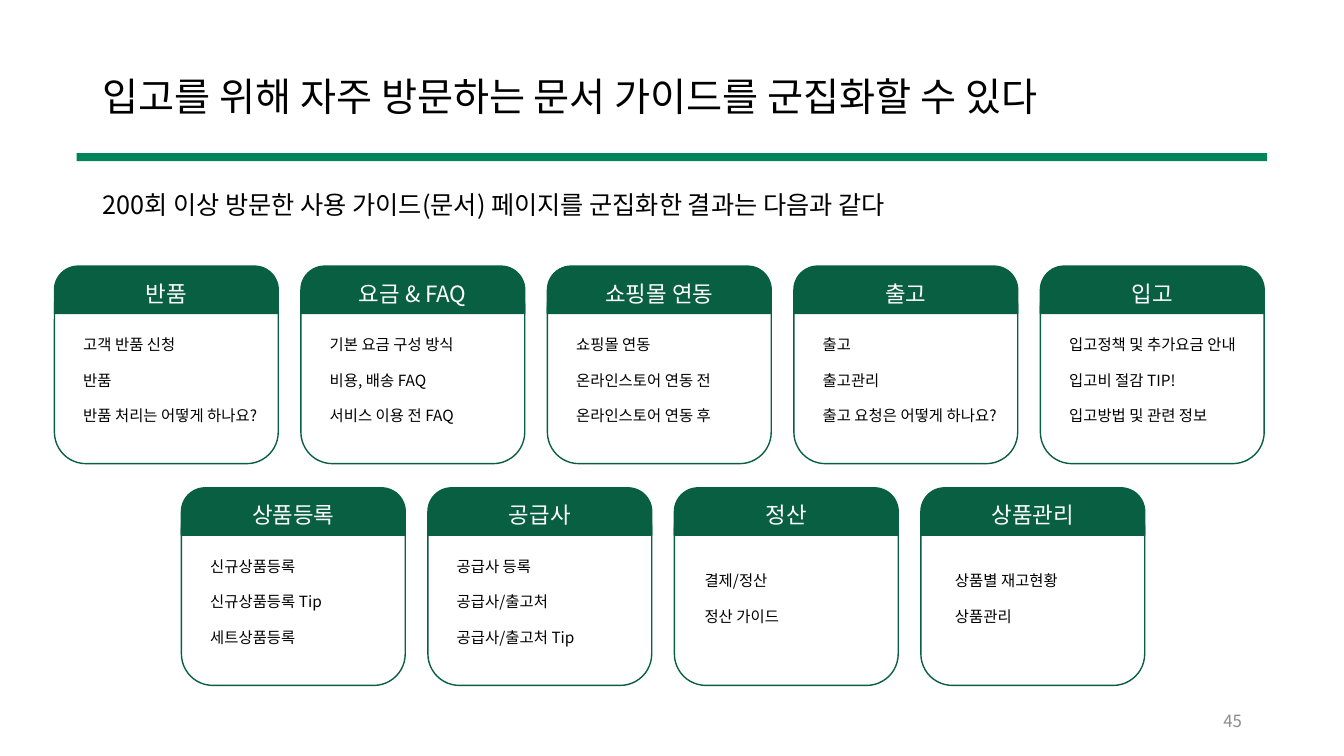
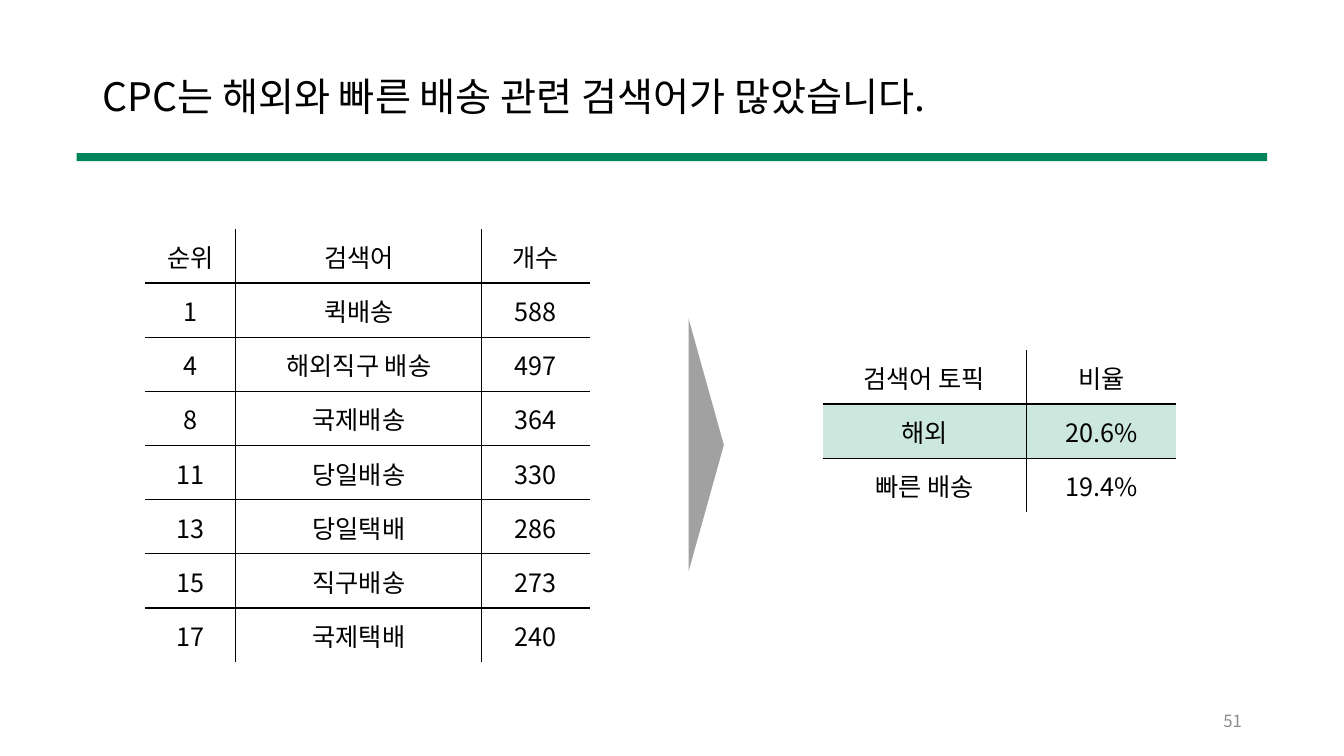
from collections import namedtuple

from lxml import etree
from pptx import Presentation
from pptx.dml.color import RGBColor
from pptx.enum.shapes import MSO_SHAPE
from pptx.enum.text import MSO_ANCHOR, PP_ALIGN
from pptx.oxml.ns import qn
from pptx.util import Inches, Pt

# Shared look
SLIDE_W, SLIDE_H = Inches(13.333), Inches(7.5)
FONT = "Noto Sans CJK KR"
COLORS = {
    "ink": "000000",
    "paper": "FFFFFF",
    "rule": "00855B",
    "card": "095F42",
    "highlight": "CCE7DE",
    "arrow": "A2A1A1",
    "page": "8C8C8C",
}
LEFT, CENTER, RIGHT = PP_ALIGN.LEFT, PP_ALIGN.CENTER, PP_ALIGN.RIGHT
TOP, MIDDLE = MSO_ANCHOR.TOP, MSO_ANCHOR.MIDDLE
RECT, ROUNDED = MSO_SHAPE.RECTANGLE, MSO_SHAPE.ROUNDED_RECTANGLE
ROUND_TOP, TRIANGLE = MSO_SHAPE.ROUND_2_SAME_RECTANGLE, MSO_SHAPE.ISOSCELES_TRIANGLE

# Card grid, in percent of the slide's width or height
CARD_W, CARD_STEP = 16.65, 18.34
CAP_H, BODY_DROP, BODY_H = 6.27, 1.2, 24.93
LIST_DROP = 8.53
Card = namedtuple("Card", "heading items indent drop", defaults=(1.4, 0))

GUIDE_ROWS = [
    (4.05, 35.2, [
        Card("반품", ["고객 반품 신청", "반품", "반품 처리는 어떻게 하나요?"]),
        Card("요금 & FAQ", ["기본 요금 구성 방식", "비용, 배송 FAQ", "서비스 이용 전 FAQ"]),
        Card("쇼핑몰 연동", ["쇼핑몰 연동", "온라인스토어 연동 전", "온라인스토어 연동 후"]),
        Card("출고", ["출고", "출고관리", "출고 요청은 어떻게 하나요?"]),
        Card("입고", ["입고정책 및 추가요금 안내", "입고비 절감 TIP!", "입고방법 및 관련 정보"]),
    ]),
    (13.5, 64.53, [
        Card("상품등록", ["신규상품등록", "신규상품등록 Tip", "세트상품등록"]),
        Card("공급사", ["공급사 등록", "공급사/출고처", "공급사/출고처 Tip"]),
        Card("정산", ["결제/정산", "정산 가이드"], 1.5, 1.87),
        Card("상품관리", ["상품별 재고현황", "상품관리"], 1.8, 1.87),
    ]),
]

SEARCH_TERMS = [
    ("순위", "검색어", "개수"),
    ("1", "퀵배송", "588"),
    ("4", "해외직구 배송", "497"),
    ("8", "국제배송", "364"),
    ("11", "당일배송", "330"),
    ("13", "당일택배", "286"),
    ("15", "직구배송", "273"),
    ("17", "국제택배", "240"),
]
TOPIC_SHARES = [("검색어 토픽", "비율"), ("해외", "20.6%"), ("빠른 배송", "19.4%")]


def across(percent):
    return int(SLIDE_W * percent / 100)


def down(percent):
    return int(SLIDE_H * percent / 100)


def place(x, y, w, h):
    return across(x), down(y), across(w), down(h)


def color(key):
    return RGBColor.from_string(COLORS[key])


def write(frame, *lines, size=18, ink="ink", align=LEFT, anchor=TOP,
          gap=0, spacing=None):
    """Fill a text frame with one paragraph per line."""
    frame.word_wrap = True
    frame.vertical_anchor = anchor
    for index, line in enumerate(lines):
        paragraph = frame.paragraphs[0] if index == 0 else frame.add_paragraph()
        paragraph.alignment = align
        if spacing:
            paragraph.line_spacing = spacing
        if index and gap:
            paragraph.space_before = Pt(gap)
        run = paragraph.add_run()
        run.text = line
        run.font.size = Pt(size)
        run.font.color.rgb = color(ink)
        run.font.name = FONT
        # Hangul takes the East Asian typeface
        east_asian = etree.Element(qn("a:ea"), typeface=FONT)
        run.font._element.find(qn("a:latin")).addnext(east_asian)


def add_text(slide, box, *lines, **text_format):
    frame = slide.shapes.add_textbox(*place(*box)).text_frame
    write(frame, *lines, **text_format)
    return frame


def add_block(slide, kind, box, fill=None, line=None):
    block = slide.shapes.add_shape(kind, *place(*box))
    block.shadow.inherit = False
    if fill:
        block.fill.solid()
        block.fill.fore_color.rgb = color(fill)
    else:
        block.fill.background()
    if line:
        block.line.color.rgb = color(line)
        block.line.width = Pt(1)
    else:
        block.line.fill.background()
    return block


def add_page(deck, title, number):
    """Start a slide with its title, rule and page number."""
    slide = deck.slides.add_slide(deck.slide_layouts[6])
    add_block(slide, RECT, (5.7, 20.27, 88.58, 1.07), fill="rule")
    add_text(slide, (70.65, 92.67, 22.5, 5.33), number,
             size=12, ink="page", align=RIGHT, anchor=MIDDLE)
    add_text(slide, (6.9, 7.47, 86.25, 11.07), title,
             size=28, anchor=MIDDLE, spacing=0.9)
    return slide


def add_card(slide, x, y, card):
    add_block(slide, ROUNDED, (x, y + BODY_DROP, CARD_W, BODY_H), line="card")
    cap = add_block(slide, ROUND_TOP, (x, y, CARD_W, CAP_H), fill="card", line="card")
    cap.adjustments[0] = 0.5
    heading = cap.text_frame
    heading.margin_top = heading.margin_bottom = 0
    write(heading, card.heading, size=16, ink="paper", align=CENTER, anchor=MIDDLE)
    items = add_text(
        slide,
        (x + card.indent, y + LIST_DROP + card.drop, CARD_W - card.indent, 14.27),
        *card.items, size=11, gap=12)
    items.margin_right = 0


def set_borders(cell, **sides):
    """Draw the sides that are true and hide the others."""
    properties = cell._tc.get_or_add_tcPr()
    for side in "LRTB":
        edge = etree.SubElement(properties, qn(f"a:ln{side}"), w=str(Pt(1)))
        if sides[side]:
            fill = etree.SubElement(edge, qn("a:solidFill"))
            etree.SubElement(fill, qn("a:srgbClr"), val=COLORS["ink"])
        else:
            etree.SubElement(edge, qn("a:noFill"))


def add_grid(slide, x, y, widths, rows, highlight=None):
    """Add a table that has inner lines only."""
    row_h = 7.17
    box = place(x, y, sum(widths), row_h * len(rows))
    table = slide.shapes.add_table(len(rows), len(widths), *box).table
    table.first_row = table.horz_banding = False
    for column, width in zip(table.columns, widths):
        column.width = across(width)
    last_row, last_column = len(rows) - 1, len(widths) - 1
    for r, values in enumerate(rows):
        table.rows[r].height = down(row_h)
        for c, value in enumerate(values):
            cell = table.cell(r, c)
            cell.margin_left = cell.margin_right = cell.margin_top = Inches(0.01)
            cell.margin_bottom = 0
            cell.vertical_anchor = MIDDLE
            set_borders(cell, L=c > 0, R=c < last_column, T=r > 0, B=r < last_row)
            if r == highlight:
                cell.fill.solid()
                cell.fill.fore_color.rgb = color("highlight")
            else:
                cell.fill.background()
            write_cell(cell, value)


def write_cell(cell, value):
    write(cell.text_frame, value, align=CENTER, anchor=MIDDLE)


def build_guides(deck):
    slide = add_page(deck, "입고를 위해 자주 방문하는 문서 가이드를 군집화할 수 있다", "45")
    add_text(slide, (6.9, 24.4, 61.13, 5.33),
             "200회 이상 방문한 사용 가이드(문서) 페이지를 군집화한 결과는 다음과 같다")
    for left, top, cards in GUIDE_ROWS:
        for index, card in enumerate(cards):
            add_card(slide, left + index * CARD_STEP, top, card)


def build_searches(deck):
    slide = add_page(deck, "CPC는 해외와 빠른 배송 관련 검색어가 많았습니다.", "51")
    add_grid(slide, 10.8, 30.27, (6.75, 18.3, 8.03), SEARCH_TERMS)
    arrow = add_block(slide, TRIANGLE, (43.13, 56.53, 18.83, 4.67), fill="arrow")
    arrow.rotation = 90
    add_grid(slide, 61.2, 46.27, (15.15, 11.18), TOPIC_SHARES, highlight=1)


def main():
    deck = Presentation()
    deck.slide_width, deck.slide_height = SLIDE_W, SLIDE_H
    build_guides(deck)
    build_searches(deck)
    deck.save("out.pptx")


if __name__ == "__main__":
    main()
